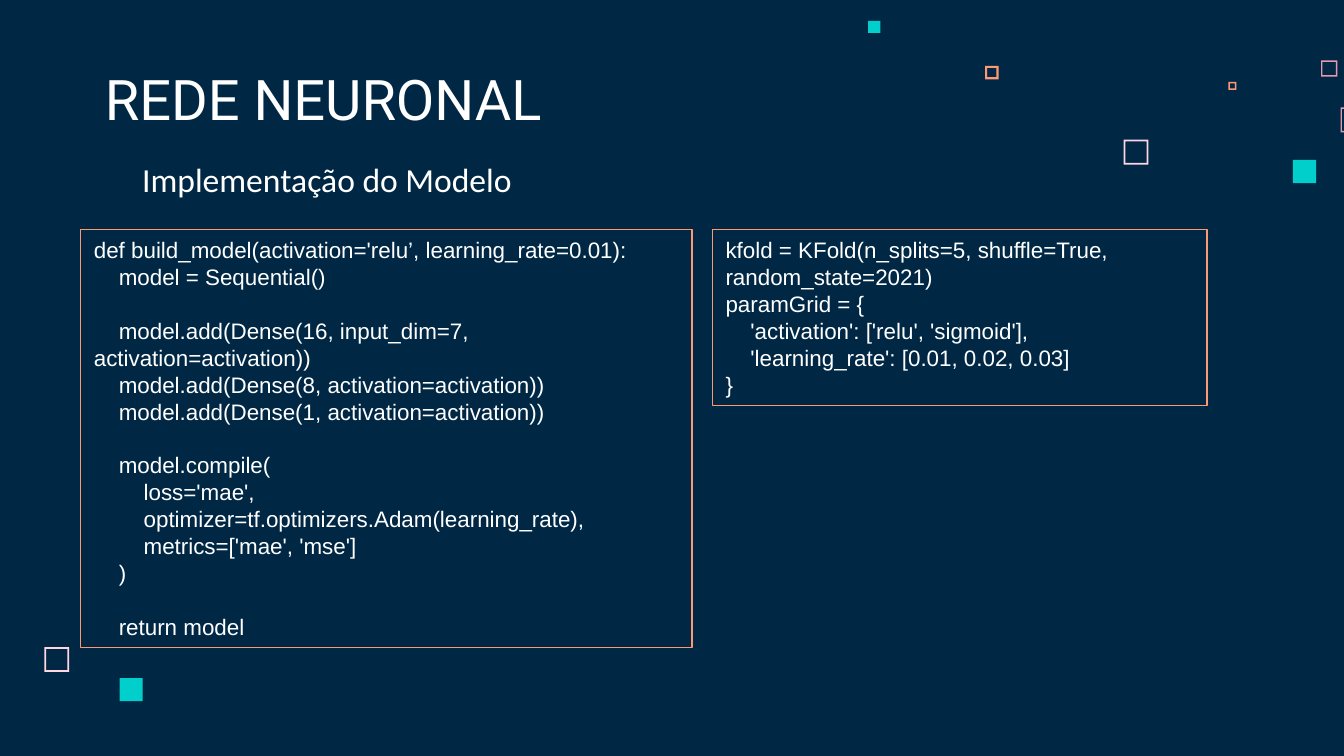
from pptx import Presentation
from pptx.dml.color import RGBColor
from pptx.enum.shapes import MSO_SHAPE
from pptx.enum.text import MSO_ANCHOR, MSO_AUTO_SIZE, PP_ALIGN
from pptx.util import Inches, Pt

NAVY = RGBColor(0x00, 0x28, 0x45)
WHITE = RGBColor(0xFF, 0xFF, 0xFF)
TEAL = RGBColor(0x00, 0xCF, 0xCC)
ORANGE = RGBColor(0xFF, 0x99, 0x73)
PINK = RGBColor(0xFF, 0xD6, 0xE1)
ROSE = RGBColor(0xE8, 0x98, 0xAC)

# The slide is a grid of 100 columns by 56.25 rows of square cells.
CELL = Inches(0.1)
LINE_HEIGHT = Pt(14.4)
CODE_INDENT = Pt(13.34)


def cells(*counts):
    return [round(count * CELL) for count in counts]


def format_heading(frame, text, font_name, size, anchor):
    frame.text = text
    frame.word_wrap = True
    frame.auto_size = MSO_AUTO_SIZE.NONE
    frame.vertical_anchor = anchor
    frame.margin_left = frame.margin_right = CELL
    frame.margin_top = frame.margin_bottom = CELL
    paragraph = frame.paragraphs[0]
    paragraph.alignment = PP_ALIGN.LEFT
    paragraph.font.name = font_name
    paragraph.font.size = Pt(size)
    paragraph.font.color.rgb = WHITE


prs = Presentation()
prs.slide_width, prs.slide_height = cells(100, 56.25)
slide = prs.slides.add_slide(prs.slide_layouts[5])
slide.background.fill.solid()
slide.background.fill.fore_color.rgb = NAVY

# Decorative squares: left, top, side, border (None when filled), colour
squares = [
    (83.6, 10.4, 1.85, 0.13, PINK),
    (98.3, 4.5, 1.2, 0.1, ROSE),
    (91.4, 6.1, 0.6, 0.12, ORANGE),
    (99.75, 8, 1.85, 0.1, ROSE),
    (96.2, 11.9, 1.72, None, TEAL),
    (73.3, 4.9, 1, 0.15, ORANGE),
    (64.6, 1.55, 0.9, None, TEAL),
    (3.3, 48.15, 1.85, 0.13, PINK),
    (8.9, 50.45, 1.72, None, TEAL),
]
for left, top, side, border, colour in squares:
    preset = MSO_SHAPE.FRAME if border else MSO_SHAPE.RECTANGLE
    square = slide.shapes.add_shape(preset, *cells(left, top, side, side))
    if border:
        square.adjustments[0] = border / side
    square.fill.solid()
    square.fill.fore_color.rgb = colour
    square.line.fill.background()
    square.shadow.inherit = False

title = slide.shapes.title
title.left, title.top, title.width, title.height = cells(6.8, 4.5, 51.7, 6.3)
format_heading(title.text_frame, "REDE NEURONAL", "Roboto", 30, MSO_ANCHOR.BOTTOM)

subtitle = slide.shapes.add_textbox(*cells(9.6, 10.8, 56.4, 5.9))
format_heading(subtitle.text_frame, "Implementação do Modelo", "Calibri", 18,
               MSO_ANCHOR.TOP)

# Code lines: empty lines before, indent level, text
model_code = [
    (0, 0, "def build_model(activation='relu’, learning_rate=0.01):"),
    (0, 1, "model = Sequential()"),
    (1, 1, "model.add(Dense(16, input_dim=7, activation=activation))"),
    (0, 1, "model.add(Dense(8, activation=activation))"),
    (0, 1, "model.add(Dense(1, activation=activation))"),
    (1, 1, "model.compile("),
    (0, 2, "loss='mae',"),
    (0, 2, "optimizer=tf.optimizers.Adam(learning_rate),"),
    (0, 2, "metrics=['mae', 'mse']"),
    (0, 1, ")"),
    (1, 1, "return model"),
]
search_code = [
    (0, 0, "kfold = KFold(n_splits=5, shuffle=True, random_state=2021)"),
    (0, 0, "paramGrid = {"),
    (0, 1, "'activation': ['relu', 'sigmoid'],"),
    (0, 1, "'learning_rate': [0.01, 0.02, 0.03]"),
    (0, 0, "}"),
]

CODE_TOP = 17.1
for left, width, height, code in [(6, 45.5, 31.1, model_code),
                                  (53, 36.8, 13.1, search_code)]:
    panel = slide.shapes.add_shape(MSO_SHAPE.RECTANGLE,
                                   *cells(left, CODE_TOP, width, height))
    panel.fill.background()
    panel.line.color.rgb = ORANGE
    panel.line.width = Pt(0.75)
    panel.shadow.inherit = False
    frame = panel.text_frame
    frame.word_wrap = True
    frame.vertical_anchor = MSO_ANCHOR.TOP
    for number, (gap, level, text) in enumerate(code):
        paragraph = frame.add_paragraph() if number else frame.paragraphs[0]
        paragraph.text = text
        paragraph.alignment = PP_ALIGN.LEFT
        paragraph.line_spacing = LINE_HEIGHT
        paragraph.space_before = gap * LINE_HEIGHT
        paragraph.font.name = "Arial"
        paragraph.font.size = Pt(12)
        paragraph.font.color.rgb = WHITE
        # Only the first line is indented; a wrapped line starts at the margin.
        properties = paragraph._p.get_or_add_pPr()
        properties.set("marL", "0")
        properties.set("indent", str(level * CODE_INDENT))

prs.save("out.pptx")
